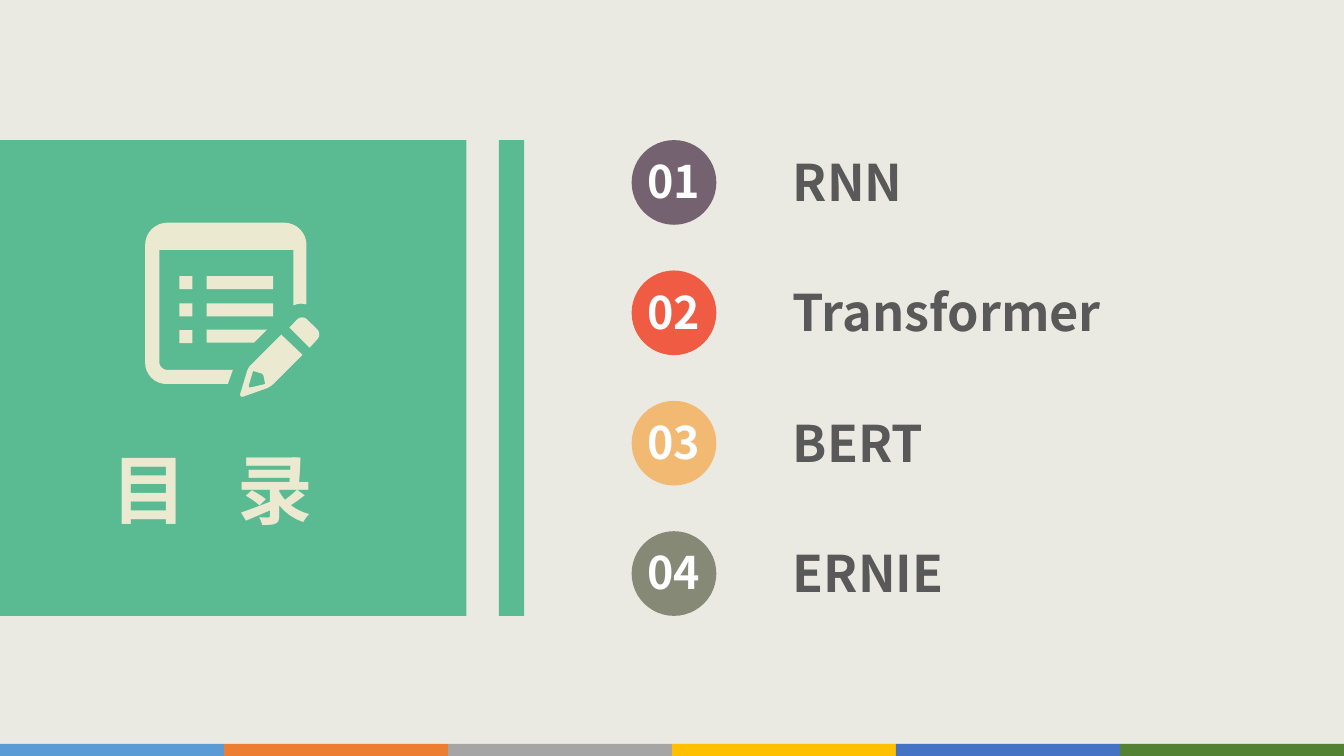
import math
import pptx
import pptx.util
from pptx.dml.color import RGBColor
from pptx.enum.shapes import MSO_SHAPE
from pptx.enum.text import MSO_AUTO_SIZE, PP_ALIGN

WIDTH, HEIGHT = 13.33, 7.5
FONT = "Noto Sans CJK SC"
PAPER = RGBColor(0xEB, 0xEA, 0xE2)
GREEN = RGBColor(0x5A, 0xBB, 0x93)
CREAM = RGBColor(0xEB, 0xE9, 0xD0)
GREY = RGBColor(0x59, 0x59, 0x59)
WHITE = RGBColor(0xFF, 0xFF, 0xFF)
STRIP = [RGBColor(0x5B, 0x9B, 0xD5), RGBColor(0xED, 0x7D, 0x31),
         RGBColor(0xA5, 0xA5, 0xA5), RGBColor(0xFF, 0xC0, 0x00),
         RGBColor(0x44, 0x72, 0xC4), RGBColor(0x54, 0x82, 0x35)]
# Topic, width of its label, colour of its disc
TOPICS = [("RNN", 1.41, RGBColor(0x75, 0x62, 0x71)),
          ("Transformer", 3.31, RGBColor(0xEF, 0x5B, 0x43)),
          ("BERT", 1.49, RGBColor(0xF2, 0xB9, 0x73)),
          ("ERNIE", 1.73, RGBColor(0x85, 0x89, 0x76))]

# Icon outlines on a grid 174 units wide: x, y, corner radius
FRAME = [(87, 146, 0), (82, 160, 0), (0, 160, 21), (0, 0, 22), (160, 0, 22),
         (160, 81, 0), (153, 80, 3), (147, 82, 0), (147, 27, 0), (14, 27, 0),
         (14, 146, 8)]
PENCIL = [(135, 111, 0), (156, 131, 0), (124, 163, 4), (93, 174, 5),
          (102, 144, 3)]
TIP = [(107, 147, 0), (102, 164, 3), (119, 160, 0), (117, 150, 2)]
ERASER = [(143, 104, 0), (155.5, 91, 7), (175.5, 110.5, 7), (163, 124, 0)]
LAST_BAR = [(61, 106, 0), (121, 106, 0), (108, 119, 0), (61, 119, 0)]


def paint(shape, color):
    shape.shadow.inherit = False
    shape.fill.solid()
    shape.fill.fore_color.rgb = color
    shape.line.fill.background()


def block(slide, kind, box, color):
    shape = slide.shapes.add_shape(kind, *map(pptx.util.Inches, box))
    paint(shape, color)


def label(slide, box, text, size, color, wrap=False, align=PP_ALIGN.LEFT):
    """Add one bold line of text and return its run."""
    frame = slide.shapes.add_textbox(*map(pptx.util.Inches, box)).text_frame
    frame.word_wrap = wrap
    frame.auto_size = MSO_AUTO_SIZE.SHAPE_TO_FIT_TEXT
    frame.text = text
    para = frame.paragraphs[0]
    para.alignment = align
    run = para.runs[0]
    run.font.name = FONT
    run.font.size = pptx.util.Pt(size)
    run.font.bold = True
    run.font.color.rgb = color
    props = run.font._element
    east = props.makeelement(pptx.oxml.ns.qn("a:ea"), {"typeface": FONT})
    props.find(pptx.oxml.ns.qn("a:latin")).addnext(east)
    return run


def soften(corners, steps=8):
    """Turn corners with radii into a list of points."""
    points = []
    for i, (x, y, r) in enumerate(corners):
        if not r:
            points.append((x, y))
            continue
        ends = []
        for px, py, _ in (corners[i - 1], corners[(i + 1) % len(corners)]):
            share = r / math.hypot(px - x, py - y)
            ends.append((x + (px - x) * share, y + (py - y) * share))
        (ax, ay), (bx, by) = ends
        for k in range(steps + 1):
            t = k / steps
            # Weight of the corner keeps the curve close to a circle arc
            a, c, b = (1 - t) ** 2, 1.41 * t * (1 - t), t ** 2
            total = a + b + c
            points.append(((a * ax + c * x + b * bx) / total,
                           (a * ay + c * y + b * by) / total))
    return points


def outline(slide, left, top, unit, *paths):
    """Draw closed paths as one shape; later paths cut holes."""
    def place(path):
        return [(pptx.util.Inches(left + x * unit),
                 pptx.util.Inches(top + y * unit)) for x, y in soften(path)]

    first, *holes = map(place, paths)
    build = slide.shapes.build_freeform(*first[0])
    build.add_line_segments(first[1:])
    for hole in holes:
        build.move_to(*hole[0])
        build.add_line_segments(hole[1:])
    paint(build.convert_to_shape(), CREAM)


def icon(slide, left, top, width):
    unit = width / 174
    for paths in ([FRAME], [PENCIL, TIP], [ERASER], [LAST_BAR]):
        outline(slide, left, top, unit, *paths)
    bars = [(61, row, 66) for row in (53, 80)]
    dots = [(34, row, 13) for row in (53, 80, 106.5)]
    for x, y, wide in bars + dots:
        box = (left + x * unit, top + y * unit, wide * unit, 13 * unit)
        block(slide, MSO_SHAPE.RECTANGLE, box, CREAM)


def panel(slide, left, top, width, height):
    """Green title panel with its side bar."""
    block(slide, MSO_SHAPE.RECTANGLE,
          (left, top, width * 0.89, height), GREEN)
    block(slide, MSO_SHAPE.RECTANGLE,
          (left + width * 0.952, top, width * 0.048, height), GREEN)
    icon(slide, left + 1.44, top + 0.82, 1.74)
    run = label(slide, (left + 1.01, top + 2.95, 2.4, 1.01),
                "目 录", 54, CREAM)
    run.font._element.set("spc", "1200")


def topics(slide, left, top, height):
    """Numbered discs and labels spread evenly over the height."""
    disc = 0.84
    pitch = (height - disc) / (len(TOPICS) - 1)
    for i, (name, wide, color) in enumerate(TOPICS):
        y = top + i * pitch
        block(slide, MSO_SHAPE.OVAL, (left, y, disc, disc), color)
        label(slide, (left + 0.02, y + 0.09, 0.8, 0.64), f"{i + 1:02}",
              32, WHITE, True, PP_ALIGN.CENTER)
        label(slide, (left + 1.5, y + 0.06, wide, 0.71), name, 36, GREY)


def strip(slide, left, top, width, height):
    step = width / len(STRIP)
    for i, color in enumerate(STRIP):
        block(slide, MSO_SHAPE.RECTANGLE,
              (left + i * step, top, step, height), color)


def main():
    deck = pptx.Presentation()
    deck.slide_width = pptx.util.Inches(WIDTH)
    deck.slide_height = pptx.util.Inches(HEIGHT)
    slide = deck.slides.add_slide(deck.slide_layouts[6])
    slide.background.fill.solid()
    slide.background.fill.fore_color.rgb = PAPER
    strip(slide, 0, HEIGHT - 0.12, WIDTH, 0.12)
    panel(slide, 0, 1.39, WIDTH * 0.39, 4.72)
    topics(slide, WIDTH * 0.47, 1.39, 4.72)
    deck.save("out.pptx")


if __name__ == "__main__":
    main()
